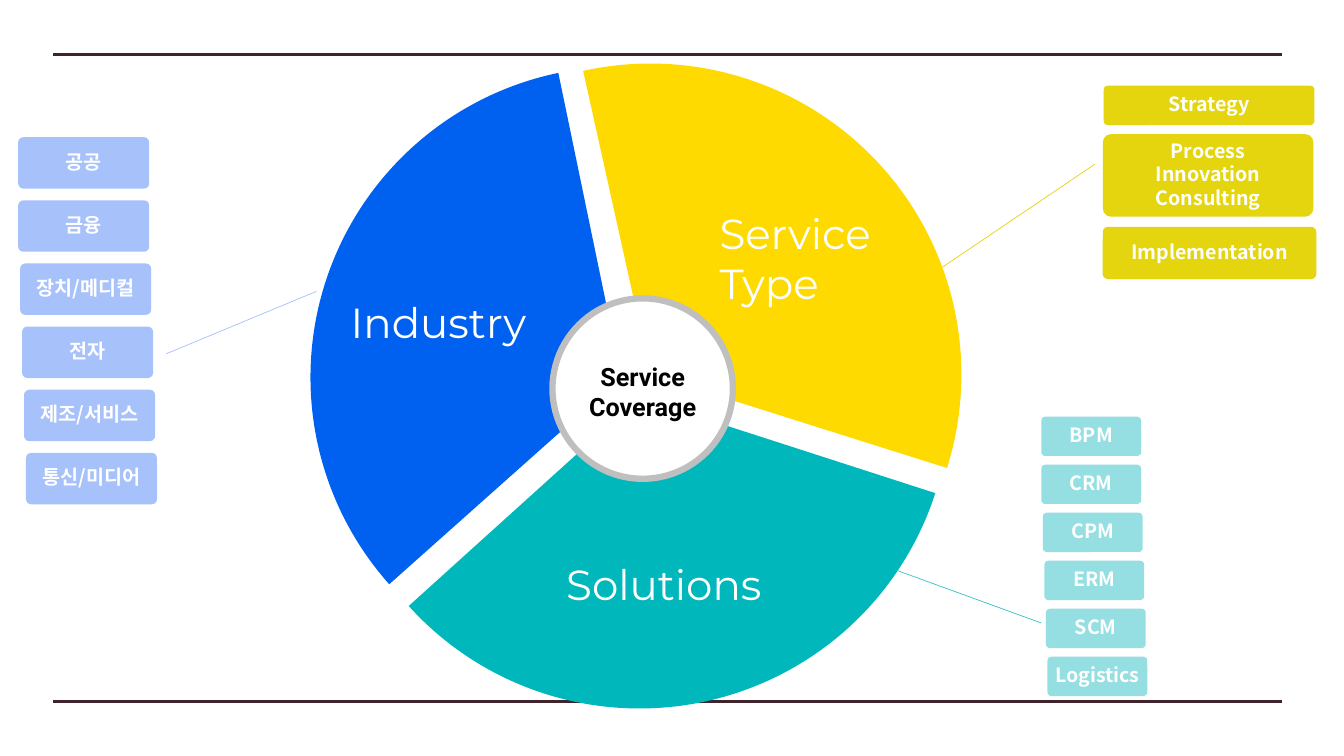
from lxml import etree
from pptx import Presentation
from pptx.dml.color import RGBColor
from pptx.enum.shapes import MSO_CONNECTOR, MSO_SHAPE
from pptx.enum.text import MSO_ANCHOR, PP_ALIGN
from pptx.oxml.ns import qn
from pptx.util import Pt

PIE_SIZE = 444.2
TAG_INSET = 4

# start angle, end angle, left, top, rotation, colour
# (angles in units of 100000/60000 of a degree, as the pie preset expects)
SECTORS = [
    (162, 18, 242.6, 45.4, 347.5, "FEDA00"),
    (18, 90, 234.7, 61.9, 347.9, "00B8BC"),
    (90, 162, 221.8, 47.5, 348.3, "0061F0"),
]
# text, left, top, width, height, alignment
SECTOR_TITLES = [
    ("Industry", 243.4, 208.1, 185.8, 43.9, PP_ALIGN.LEFT),
    ("Service Type", 506.9, 144.7, 185.8, 116.6, PP_ALIGN.JUSTIFY),
    ("Solutions", 397.4, 395.3, 180, 43.9, PP_ALIGN.LEFT),
]
INDUSTRIES = ["공공", "금융", "장치/메디컬", "전자", "제조/서비스", "통신/미디어"]
SOLUTIONS = ["BPM", "CRM", "CPM", "ERM", "SCM", "Logistics"]
# text, left, top, width, height
SERVICE_TYPES = [
    ("Strategy", 788.4, 61.2, 150.5, 28.1),
    ("Process\nInnovation\nConsulting", 787.7, 95.8, 150.5, 59),
    ("Implementation", 787.7, 162, 152.6, 37.4),
]


def color(hex_code):
    return RGBColor.from_string(hex_code)


def style_font(paragraph, name, size, hex_code, bold=False):
    font = paragraph.font
    font.name, font.size, font.bold = name, Pt(size), bold
    font.color.rgb = color(hex_code)
    # East Asian text takes its typeface from a separate element
    etree.SubElement(font._element, qn("a:ea")).set("typeface", name)


def add_line(slide, x1, y1, x2, y2, hex_code, weight):
    line = slide.shapes.add_connector(
        MSO_CONNECTOR.STRAIGHT, Pt(x1), Pt(y1), Pt(x2), Pt(y2))
    line.line.color.rgb = color(hex_code)
    line.line.width = Pt(weight)
    etree.SubElement(line._element.spPr, qn("a:effectLst"))


def add_filled(slide, preset, left, top, width, height, fill):
    shape = slide.shapes.add_shape(
        preset, Pt(left), Pt(top), Pt(width), Pt(height))
    shape.shadow.inherit = False
    shape.fill.solid()
    shape.fill.fore_color.rgb = color(fill)
    shape.line.fill.background()
    return shape


def add_sector(slide, start, end, left, top, rotation, fill):
    sector = add_filled(
        slide, MSO_SHAPE.PIE, left, top, PIE_SIZE, PIE_SIZE, fill)
    sector.adjustments[0], sector.adjustments[1] = start, end
    sector.rotation = rotation


def add_hub(slide):
    hub = add_filled(slide, MSO_SHAPE.OVAL, 394.6, 213.1, 128.9, 128.9, "FFFFFF")
    hub.line.color.rgb = color("BFBFBF")
    hub.line.width = Pt(4.5)
    frame = hub.text_frame
    frame.word_wrap = True
    frame.vertical_anchor = MSO_ANCHOR.MIDDLE
    frame.margin_top, frame.margin_bottom = Pt(7.2), Pt(3.6)
    frame.text = "Service Coverage"
    frame.paragraphs[0].alignment = PP_ALIGN.CENTER
    style_font(frame.paragraphs[0], "Roboto", 18, "000000", bold=True)


def add_title(slide, text, left, top, width, height, alignment):
    frame = slide.shapes.add_textbox(
        Pt(left), Pt(top), Pt(width), Pt(height)).text_frame
    frame.word_wrap = True
    frame.text = text
    frame.paragraphs[0].alignment = alignment
    style_font(frame.paragraphs[0], "Montserrat", 30, "FFFFFF")


def add_tag(slide, text, left, top, width, height, fill):
    tag = add_filled(
        slide, MSO_SHAPE.ROUNDED_RECTANGLE, left, top, width, height, fill)
    tag.adjustments[0] = 0.1
    frame = tag.text_frame
    frame.word_wrap = True
    frame.vertical_anchor = MSO_ANCHOR.MIDDLE
    frame.margin_left = frame.margin_right = Pt(TAG_INSET)
    frame.margin_top = frame.margin_bottom = Pt(TAG_INSET)
    frame.text = text
    for paragraph in frame.paragraphs:
        paragraph.alignment = PP_ALIGN.CENTER
        paragraph.line_spacing = 0.9
        paragraph.space_after = Pt(1.8)
        style_font(paragraph, "Noto Sans CJK KR", 14, "FFFFFF", bold=True)


def add_tag_column(slide, names, left, top, width, height, pitch, drift, fill):
    # From the third tag on, each one drifts a little to the right
    for i, name in enumerate(names):
        add_tag(slide, name, left + drift * max(0, i - 1), top + pitch * i,
                width, height, fill)


def main():
    prs = Presentation()
    prs.slide_width, prs.slide_height = Pt(960), Pt(540)
    slide = prs.slides.add_slide(prs.slide_layouts[6])

    # Frame lines
    for y in (38.9, 501.1):
        add_line(slide, 38.2, y, 915.8, y, "41242B", 2.25)

    # Wheel with its hub and titles
    for sector in SECTORS:
        add_sector(slide, *sector)
    add_hub(slide)
    for title in SECTOR_TITLES:
        add_title(slide, *title)

    # Industry
    add_tag_column(slide, INDUSTRIES, 13, 98, 93.6, 36.7, 45.1, 1.4, "A7C1FB")
    add_line(slide, 118.8, 252.7, 226.1, 208.1, "A7C1FB", 0.5)

    # Service type
    for service in SERVICE_TYPES:
        add_tag(slide, *service, "E4D50E")
    add_line(slide, 673.2, 190.8, 781.9, 117.4, "E4D50E", 0.5)

    # Solutions
    add_tag_column(slide, SOLUTIONS, 743.8, 297.6, 71.3, 28.1, 34.3, 1.1, "95DFE3")
    add_line(slide, 640.8, 407.5, 743.8, 445, "36C1C8", 0.5)

    prs.save("out.pptx")


if __name__ == "__main__":
    main()
